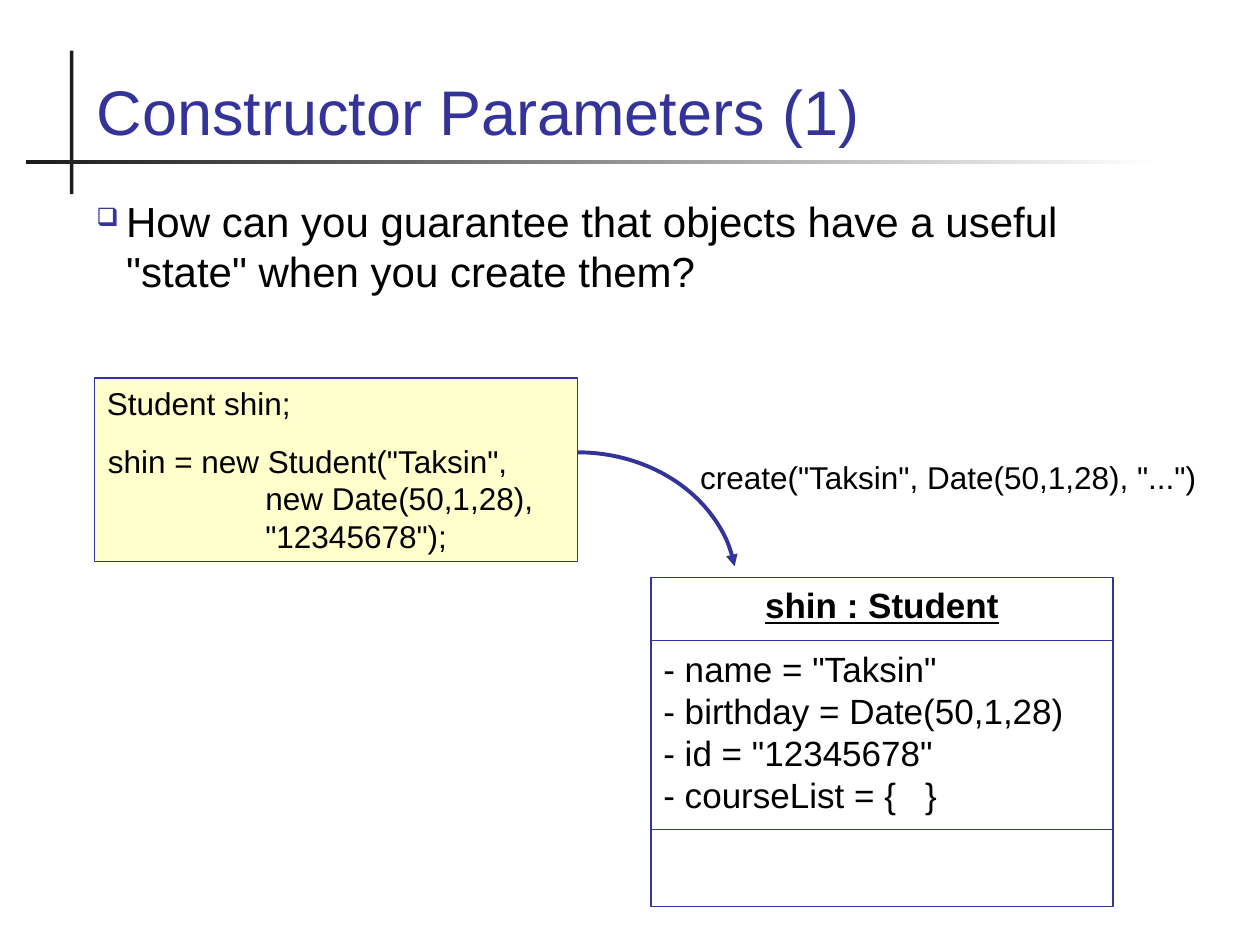
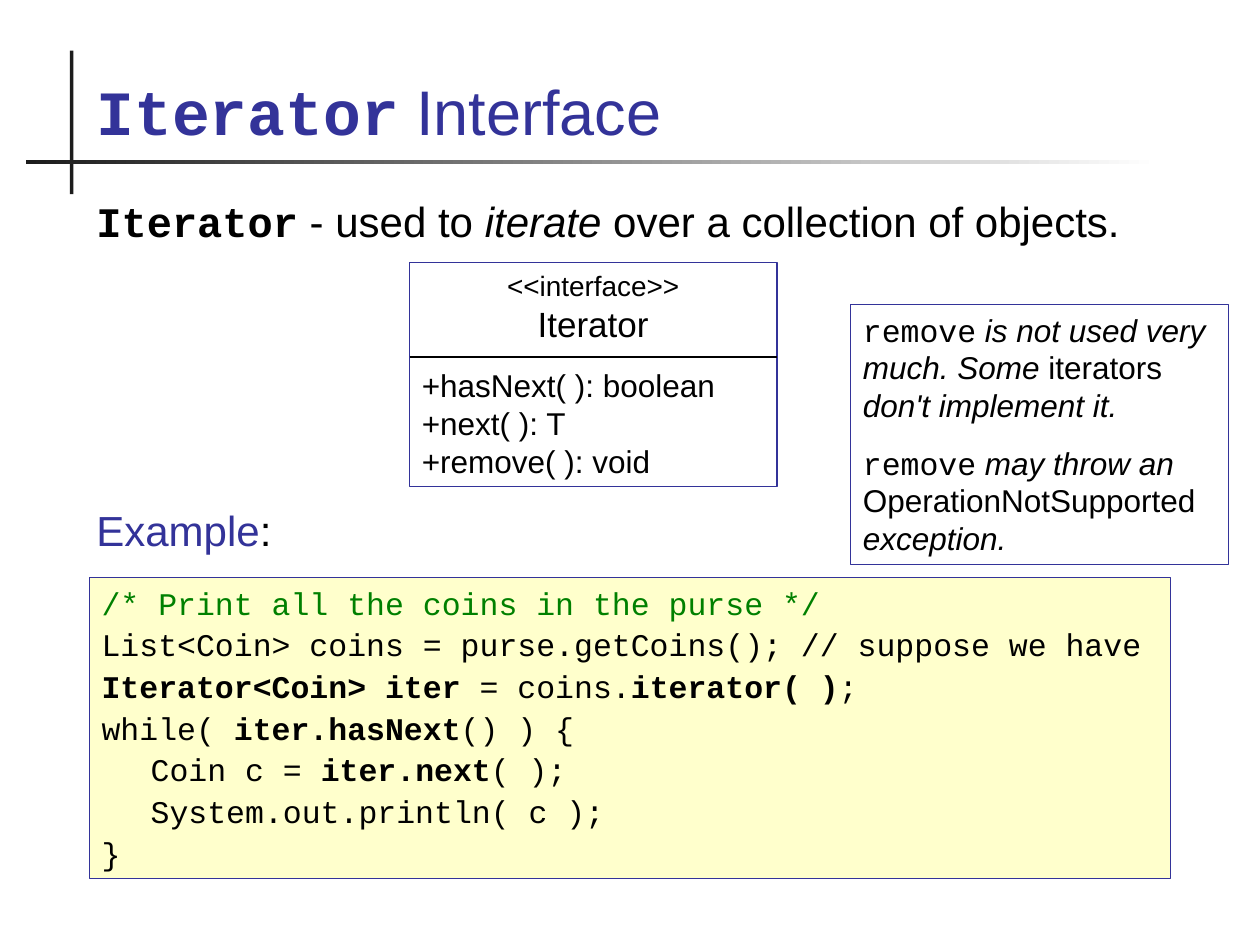
from lxml.etree import SubElement
from pptx import Presentation
from pptx.dml.color import RGBColor
from pptx.enum.shapes import MSO_CONNECTOR, MSO_SHAPE
from pptx.enum.text import MSO_ANCHOR, MSO_AUTO_SIZE, PP_ALIGN
from pptx.oxml.ns import qn
from pptx.util import Pt

BLUE, BLACK, DARK, WHITE = "333399", "000000", "1C1C1C", "FFFFFF"
CREAM, GREEN = "FFFFCC", "008000"

PLAIN, BOLD, ITALIC = {}, {"bold": True}, {"italic": True}
MONO = {"name": "Courier New"}
MONO_BOLD = {**MONO, **BOLD}
CENTRED = {"alignment": PP_ALIGN.CENTER}
SPACED = {"space_before": Pt(11.2)}
CODE_LINE = {"space_before": Pt(2.2)}
CODE_BLOCK = {**CODE_LINE, "margin": 28}
ARGUMENTS = {**SPACED, "margin": 90.5, "indent": -90}

SLIDES = [
    {
        "title": [("Constructor Parameters (1)", PLAIN)],
        "texts": [
            {"place": (48, 108, 624, 72), "size": 24, "paragraphs": [
                ([('How can you guarantee that objects have a useful "state" when you create them?', PLAIN)],
                 {"margin": 17, "indent": -17, "bullet": "❑"}),
            ]},
            {"place": (372, 330, 264, 188), "size": 20, "line": BLUE, "paragraphs": [
                ([("shin : Student", {"bold": True, "underline": True})], CENTRED),
                ([('- name = "Taksin"', PLAIN)], {"space_before": Pt(12.5)}),
                ([("- birthday = Date(50,1,28)", PLAIN)], {}),
                ([('- id = "12345678"', PLAIN)], {}),
                ([("- courseList = {   }", PLAIN)], {}),
            ]},
            {"place": (54, 216, 276, 105), "size": 18, "line": BLUE, "fill": CREAM, "paragraphs": [
                ([("Student shin;", PLAIN)], {}),
                ([('shin = new Student("Taksin",\nnew Date(50,1,28),\n"12345678");', PLAIN)], ARGUMENTS),
            ]},
            {"place": (393, 258, 318, 29), "size": 18, "paragraphs": [
                ([('create("Taksin", Date(50,1,28), "...")', PLAIN)], {}),
            ]},
        ],
        "dividers": [(372, 636, 366, BLUE), (372, 636, 474, BLUE)],
        "call_arrows": [(239, 258.5, 182, 155.5)],
    },
    {
        "title": [("Iterator", MONO_BOLD), (" Interface", PLAIN)],
        "texts": [
            {"place": (48, 108, 624, 216), "size": 24, "paragraphs": [
                ([("Iterator", MONO_BOLD), (" - used to ", PLAIN), ("iterate ", ITALIC),
                  ("over a collection of objects.", PLAIN)], {}),
                ([("Example", {"color": BLUE}), (":", PLAIN)], {"space_before": Pt(148)}),
            ]},
            {"place": (234, 150, 210, 128), "size": 18, "line": BLUE, "paragraphs": [
                ([("<<interface>>", {"size": Pt(16)})], CENTRED),
                ([("Iterator", {"size": Pt(20)})], {**CENTRED, "space_after": Pt(12.5)}),
                ([("+hasNext( ): boolean", PLAIN)], {}),
                ([("+next( ): T", PLAIN)], {}),
                ([("+remove( ): void", PLAIN)], {}),
            ]},
            {"place": (486, 174, 216, 148.5), "size": 18, "line": BLUE, "paragraphs": [
                ([("remove", MONO), (" is not used very much. Some ", ITALIC),
                  ("iterators", PLAIN), (" don't implement it.", ITALIC)], {}),
                ([("remove", MONO), (" may throw an ", ITALIC),
                  ("OperationNotSupported", PLAIN), (" exception.", ITALIC)], SPACED),
            ]},
            {"place": (51, 330, 618, 172), "size": 18, "line": BLUE, "fill": CREAM, "paragraphs": [
                ([("/* Print all the coins in the purse */", {**MONO, "color": GREEN})], {}),
                ([("List<Coin> coins = purse.getCoins(); // suppose we have", MONO)], CODE_LINE),
                ([("Iterator<Coin> iter", MONO_BOLD), (" = coins.", MONO),
                  ("iterator( )", MONO_BOLD), (";", MONO)], CODE_LINE),
                ([("while( ", MONO), ("iter.hasNext", MONO_BOLD), ("() ) {", MONO)], CODE_LINE),
                ([("Coin c = ", MONO), ("iter.next", MONO_BOLD), ("( );", MONO)], CODE_BLOCK),
                ([("System.out.println( c );", MONO)], CODE_BLOCK),
                ([("}", MONO)], CODE_LINE),
            ]},
        ],
        "dividers": [(234, 444, 204, BLACK)],
        "call_arrows": [],
    },
]


def rgb(value):
    """Turn a hex string into a colour."""
    return RGBColor.from_string(value)


def points(*values):
    """Turn numbers into lengths in points."""
    return [Pt(value) for value in values]


def set_attributes(target, values):
    """Set each named attribute on the target."""
    for name, value in values.items():
        setattr(target, name, value)


def add_run(paragraph, text, values):
    """Add formatted text, with a line break at each newline."""
    font_values = {"name": "Arial", "bold": False, "italic": False, **values}
    color = font_values.pop("color")
    for number, line in enumerate(text.split("\n")):
        if number:
            paragraph.add_line_break()
        run = paragraph.add_run()
        run.text = line
        set_attributes(run.font, font_values)
        run.font.color.rgb = rgb(color)


def add_bullet(properties, character):
    """Give a paragraph a small blue bullet."""
    bullet_color = SubElement(properties, qn("a:buClr"))
    SubElement(bullet_color, qn("a:srgbClr"), val=BLUE)
    SubElement(properties, qn("a:buSzPct"), val="60000")
    SubElement(properties, qn("a:buChar"), char=character)


def format_paragraph(paragraph, values):
    """Set indents, bullet and spacing of a paragraph."""
    values = dict(values)
    properties = paragraph._p.get_or_add_pPr()
    for key, attribute in (("margin", "marL"), ("indent", "indent")):
        properties.set(attribute, str(Pt(values.pop(key, 0))))
    bullet = values.pop("bullet", None)
    if bullet:
        add_bullet(properties, bullet)
    set_attributes(paragraph, {"alignment": PP_ALIGN.LEFT, **values})


def fill_text(frame, paragraphs, base, anchor=MSO_ANCHOR.TOP):
    """Write paragraphs of runs into a text frame."""
    set_attributes(frame, {"word_wrap": True, "auto_size": MSO_AUTO_SIZE.NONE, "vertical_anchor": anchor})
    for number, (runs, values) in enumerate(paragraphs):
        paragraph = frame.add_paragraph() if number else frame.paragraphs[0]
        format_paragraph(paragraph, values)
        for text, run_values in runs:
            add_run(paragraph, text, {**base, **run_values})


def add_text(slide, item):
    """Add a plain text box or an outlined, optionally filled one."""
    place = points(*item["place"])
    if "line" in item:
        shape = slide.shapes.add_shape(MSO_SHAPE.RECTANGLE, *place)
        shape.shadow.inherit = False
        shape.line.color.rgb = rgb(item["line"])
        shape.line.width = Pt(0.75)
        if "fill" in item:
            shape.fill.solid()
            shape.fill.fore_color.rgb = rgb(item["fill"])
        else:
            shape.fill.background()
    else:
        shape = slide.shapes.add_textbox(*place)
    fill_text(shape.text_frame, item["paragraphs"], {"size": Pt(item["size"]), "color": BLACK})


def add_divider(slide, left, right, height, color):
    """Draw a level line across a class box."""
    connector = slide.shapes.add_connector(MSO_CONNECTOR.STRAIGHT, *points(left, height, right, height))
    connector.line.color.rgb = rgb(color)
    connector.line.width = Pt(0.75)
    SubElement(connector._element.spPr, qn("a:effectLst"))


def add_call_arrow(slide, place):
    """Draw a quarter arc that ends in an arrowhead."""
    arc = slide.shapes.add_shape(MSO_SHAPE.ARC, *points(*place))
    arc.adjustments[0], arc.adjustments[1] = 270 * 0.6, 352 * 0.6
    arc.fill.background()
    arc.line.color.rgb = rgb(BLUE)
    arc.line.width = Pt(2.25)
    SubElement(arc.line._get_or_add_ln(), qn("a:tailEnd"), type="triangle")
    arc.shadow.inherit = False


def add_title_rules(slide):
    """Draw the upright bar and the fading bar beside the title."""
    upright, fading = [
        slide.shapes.add_shape(MSO_SHAPE.RECTANGLE, *points(*place))
        for place in ((40, 29, 2, 82), (15, 91.5, 647, 2))
    ]
    for bar in (upright, fading):
        bar.shadow.inherit = False
        bar.line.fill.background()
    upright.fill.solid()
    upright.fill.fore_color.rgb = rgb(DARK)
    fading.fill.gradient()
    fading.fill.gradient_angle = 0
    for stop, position, color in zip(fading.fill.gradient_stops, (0, 1), (DARK, WHITE)):
        stop.position = position
        stop.color.rgb = rgb(color)


def add_title(slide, runs):
    """Place and write the slide title."""
    title = slide.shapes.title
    set_attributes(title, dict(zip(("left", "top", "width", "height"), points(48, 20, 624, 68.5))))
    fill_text(title.text_frame, [(runs, {})], {"size": Pt(36), "color": BLUE}, MSO_ANCHOR.BOTTOM)


def main():
    """Build the presentation."""
    presentation = Presentation()
    presentation.slide_width, presentation.slide_height = points(720, 540)
    for content in SLIDES:
        slide = presentation.slides.add_slide(presentation.slide_layouts[5])
        add_title_rules(slide)
        add_title(slide, content["title"])
        for item in content["texts"]:
            add_text(slide, item)
        for divider in content["dividers"]:
            add_divider(slide, *divider)
        for place in content["call_arrows"]:
            add_call_arrow(slide, place)
    presentation.save("out.pptx")


if __name__ == "__main__":
    main()
